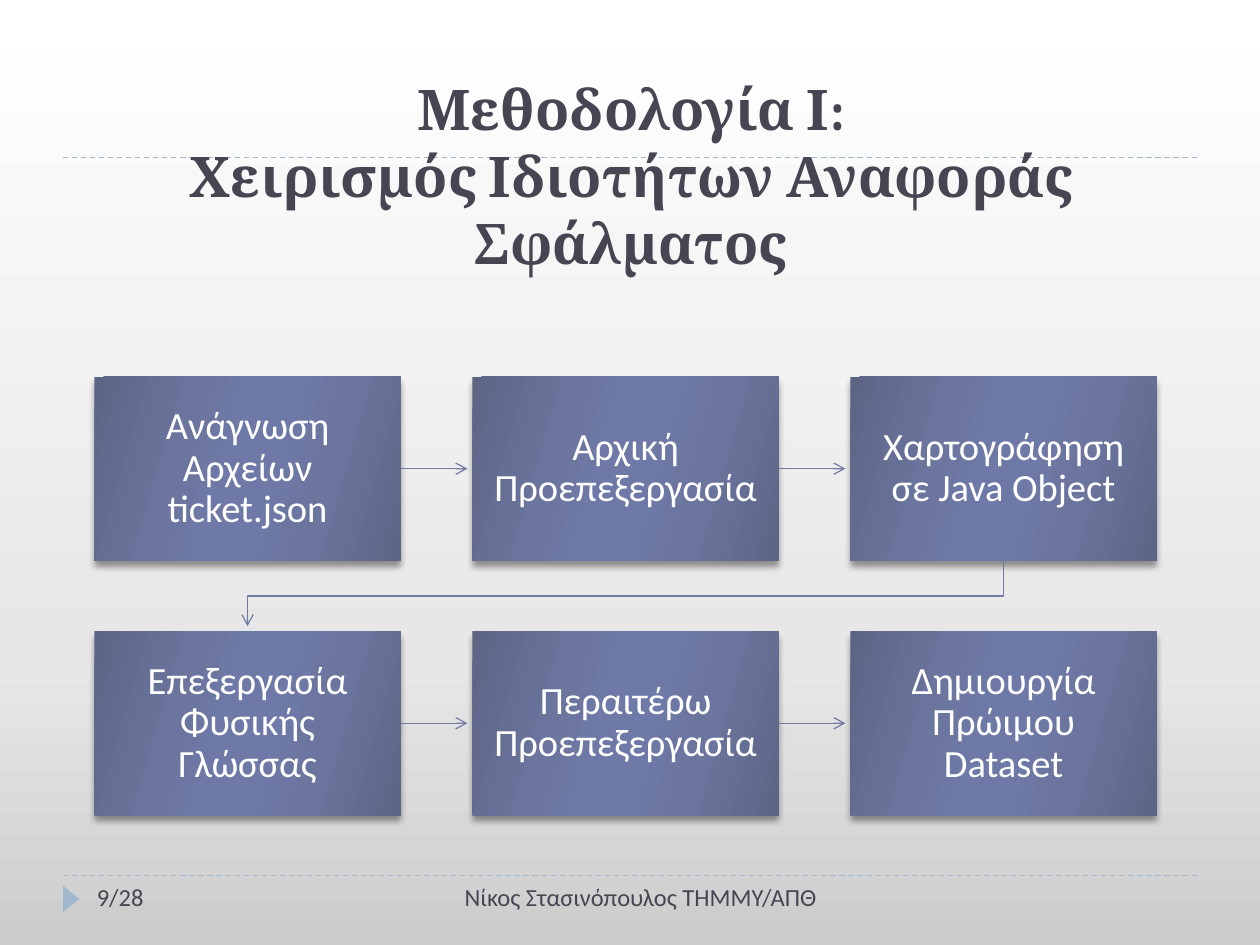
from pptx import Presentation
from pptx.dml.color import RGBColor
from pptx.enum.dml import MSO_LINE
from pptx.enum.shapes import MSO_CONNECTOR, MSO_SHAPE
from pptx.enum.text import MSO_ANCHOR, PP_ALIGN
from pptx.oxml import parse_xml
from pptx.oxml.ns import nsdecls, qn
from pptx.util import Inches, Pt

STRAIGHT = MSO_CONNECTOR.STRAIGHT
RECTANGLE, TRIANGLE = MSO_SHAPE.RECTANGLE, MSO_SHAPE.ISOSCELES_TRIANGLE
LEFT, CENTER = PP_ALIGN.LEFT, PP_ALIGN.CENTER
TOP, MIDDLE, BOTTOM = MSO_ANCHOR.TOP, MSO_ANCHOR.MIDDLE, MSO_ANCHOR.BOTTOM
DASH = MSO_LINE.DASH
RIGHT_SIDE = 3

DARK, PALE_BLUE, ARROW_BLUE, WHITE = "464653", "9FB8CD", "727CA3", "FFFFFF"
BACKGROUND_STOPS = [(0, "CCCCCC"), (30, "E7E7E7"), (100, "FFFFFF")]
BOX_STOPS = [(0, "5D6585"), (30, "6B759E"), (45, "6E79A7"),
             (55, "6E79A7"), (73, "6B759E"), (100, "5D6585")]

STEP_ROWS = [
    ["Ανάγνωση Αρχείων ticket.json", "Αρχική Προεπεξεργασία", "Χαρτογράφηση σε Java Object"],
    ["Επεξεργασία Φυσικής Γλώσσας", "Περαιτέρω Προεπεξεργασία", "Δημιουργία Πρώιμου Dataset"],
]
GRID_LEFT, GRID_TOP = 0.75, 2.99
BOX_WIDTH, BOX_HEIGHT = 2.43, 1.46
COLUMN_PITCH, ROW_PITCH = 3, 2.02
ARROW_GAP = 0.04


def color(hex_string):
    return RGBColor.from_string(hex_string)


def set_gradient(fill, parent, stops, angle):
    """Fill with a linear gradient of any number of stops; angle runs clockwise."""
    fill.solid()
    stop_xml = "".join(
        f'<a:gs pos="{position * 1000}"><a:srgbClr val="{value}"/></a:gs>'
        for position, value in stops)
    gradient = parse_xml(
        f'<a:gradFill {nsdecls("a")} rotWithShape="1"><a:gsLst>{stop_xml}</a:gsLst>'
        f'<a:lin ang="{angle * 60000}" scaled="0"/></a:gradFill>')
    parent.replace(parent.find(qn("a:solidFill")), gradient)


def set_text(shape, text, size, font_color, alignment=CENTER, anchor=TOP,
             font_name="Calibri", bold=False):
    frame = shape.text_frame
    frame.text = text
    frame.word_wrap = True
    frame.vertical_anchor = anchor
    paragraph = frame.paragraphs[0]
    paragraph.alignment = alignment
    for run in paragraph.runs:
        run.font.name = font_name
        run.font.size = Pt(size)
        run.font.bold = bold
        run.font.color.rgb = color(font_color)


def add_text(slide, left, top, width, height, text, size, **style):
    box = slide.shapes.add_textbox(Inches(left), Inches(top), Inches(width), Inches(height))
    set_text(box, text, size, DARK, **style)


def add_line(slide, x1, y1, x2, y2, line_color):
    line = slide.shapes.add_connector(STRAIGHT, Inches(x1), Inches(y1), Inches(x2), Inches(y2))
    line.line.color.rgb = color(line_color)
    line.line.width = Pt(0.75)
    line._element.spPr.append(parse_xml(f'<a:effectLst {nsdecls("a")}/>'))
    return line


def add_arrowhead(shape):
    shape.line._get_or_add_ln().append(
        parse_xml(f'<a:tailEnd {nsdecls("a")} type="arrow"/>'))


def add_step(slide, left, top, text):
    box = slide.shapes.add_shape(RECTANGLE, Inches(left), Inches(top),
                                 Inches(BOX_WIDTH), Inches(BOX_HEIGHT))
    properties = box._element.spPr
    set_gradient(box.fill, properties, BOX_STOPS, 16)
    box.line.fill.background()
    properties.append(parse_xml(
        f'<a:effectLst {nsdecls("a")}><a:outerShdw blurRad="{Pt(4)}" dist="{Pt(3.4)}" '
        'dir="5400000" rotWithShape="0"><a:srgbClr val="000000"><a:alpha val="40000"/>'
        '</a:srgbClr></a:outerShdw></a:effectLst>'))
    set_text(box, text, 22, WHITE, anchor=MIDDLE)
    frame = box.text_frame
    frame.margin_left = frame.margin_right = Inches(0.17)
    frame.margin_top = frame.margin_bottom = Inches(0.17)
    frame.paragraphs[0].line_spacing = 0.9
    return box


def add_row_arrow(slide, box, left, top):
    """Lead from the right side of a box almost to the next one."""
    middle = top + BOX_HEIGHT / 2
    arrow = add_line(slide, left + BOX_WIDTH, middle,
                     left + COLUMN_PITCH - ARROW_GAP, middle, ARROW_BLUE)
    arrow.begin_connect(box, RIGHT_SIDE)
    add_arrowhead(arrow)


def add_return_arrow(slide):
    """Lead from the last box of the first row to the first box of the second."""
    end_x = GRID_LEFT + BOX_WIDTH / 2
    start_x = end_x + 2 * COLUMN_PITCH
    start_y = GRID_TOP + BOX_HEIGHT
    next_row = GRID_TOP + ROW_PITCH
    bend_y = (start_y + next_row) / 2
    builder = slide.shapes.build_freeform(Inches(start_x), Inches(start_y))
    corners = [(start_x, bend_y), (end_x, bend_y), (end_x, next_row - ARROW_GAP)]
    builder.add_line_segments([(Inches(x), Inches(y)) for x, y in corners], close=False)
    arrow = builder.convert_to_shape()
    arrow.shadow.inherit = False
    arrow.fill.background()
    arrow.line.color.rgb = color(ARROW_BLUE)
    arrow.line.width = Pt(0.75)
    add_arrowhead(arrow)


def add_footer_marker(slide):
    marker = slide.shapes.add_shape(TRIANGLE, Inches(0.46), Inches(7.07),
                                    Inches(0.21), Inches(0.13))
    marker.rotation = 90
    marker.shadow.inherit = False
    marker.fill.solid()
    marker.fill.fore_color.rgb = color(PALE_BLUE)
    marker.line.fill.background()


def add_flow(slide):
    for row, steps in enumerate(STEP_ROWS):
        top = GRID_TOP + row * ROW_PITCH
        for column, text in enumerate(steps):
            left = GRID_LEFT + column * COLUMN_PITCH
            box = add_step(slide, left, top, text)
            if column < len(steps) - 1:
                add_row_arrow(slide, box, left, top)
    add_return_arrow(slide)


def main():
    presentation = Presentation()
    presentation.slide_width = Inches(10)
    presentation.slide_height = Inches(7.5)
    slide = presentation.slides.add_slide(presentation.slide_layouts[6])

    background_fill = slide.background.fill
    background_fill.solid()
    background = slide._element.find(".//" + qn("p:bgPr"))
    set_gradient(background_fill, background, BACKGROUND_STOPS, 270)

    for y in (6.95, 1.25):
        add_line(slide, 0.5, y, 9.5, y, PALE_BLUE).line.dash_style = DASH
    add_footer_marker(slide)
    add_text(slide, 0.51, 0, 9, 2.24,
             "Μεθοδολογία Ι:\vΧειρισμός Ιδιοτήτων Αναφοράς Σφάλματος", 32,
             anchor=BOTTOM, font_name="Cambria", bold=True)
    add_text(slide, 3.17, 6.95, 3.83, 0.4, "Νίκος Στασινόπουλος ΤΗΜΜΥ/ΑΠΘ", 14)
    add_text(slide, 0.67, 6.95, 2.17, 0.4, "9/28", 14, alignment=LEFT)
    add_flow(slide)
    presentation.save("out.pptx")


if __name__ == "__main__":
    main()
